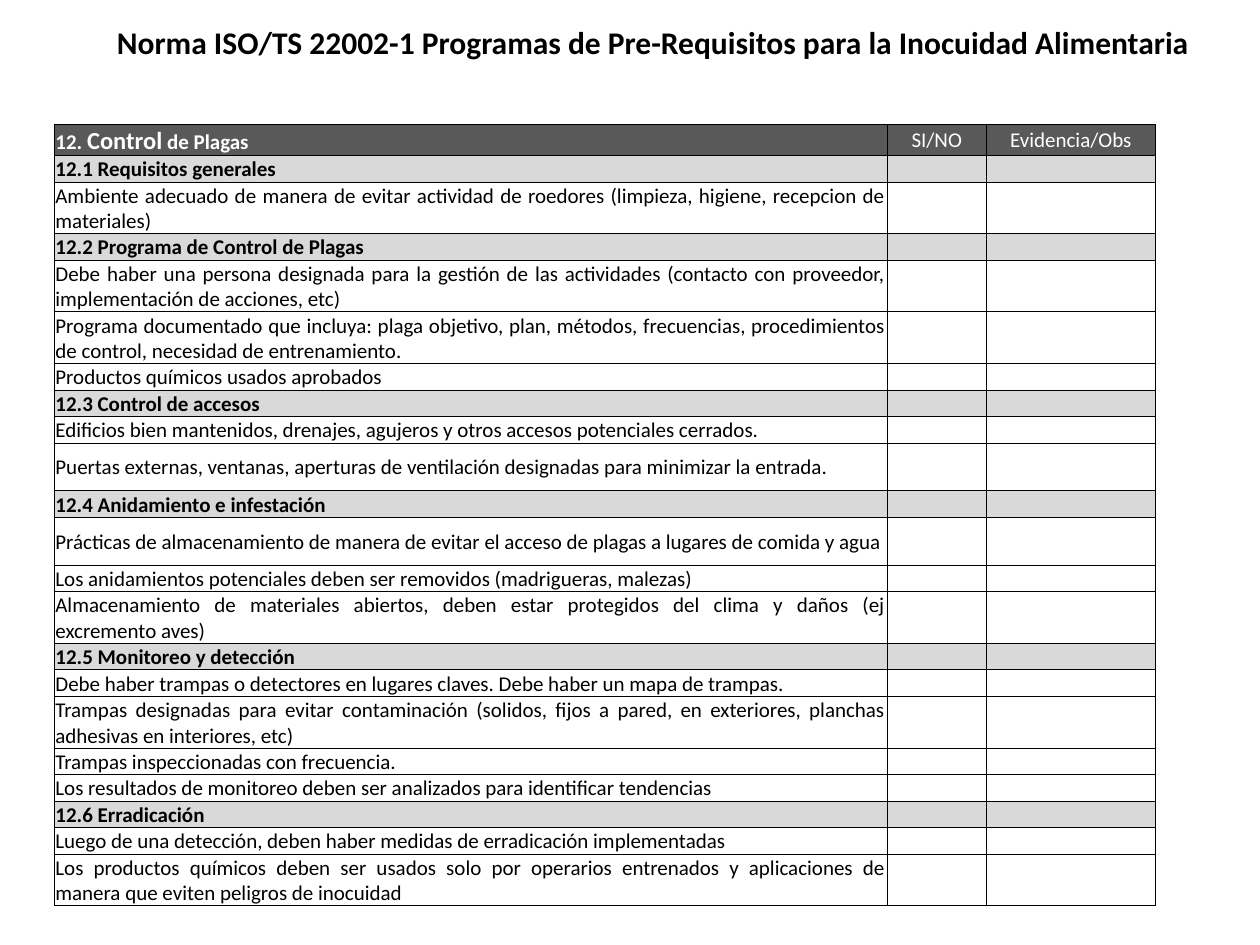
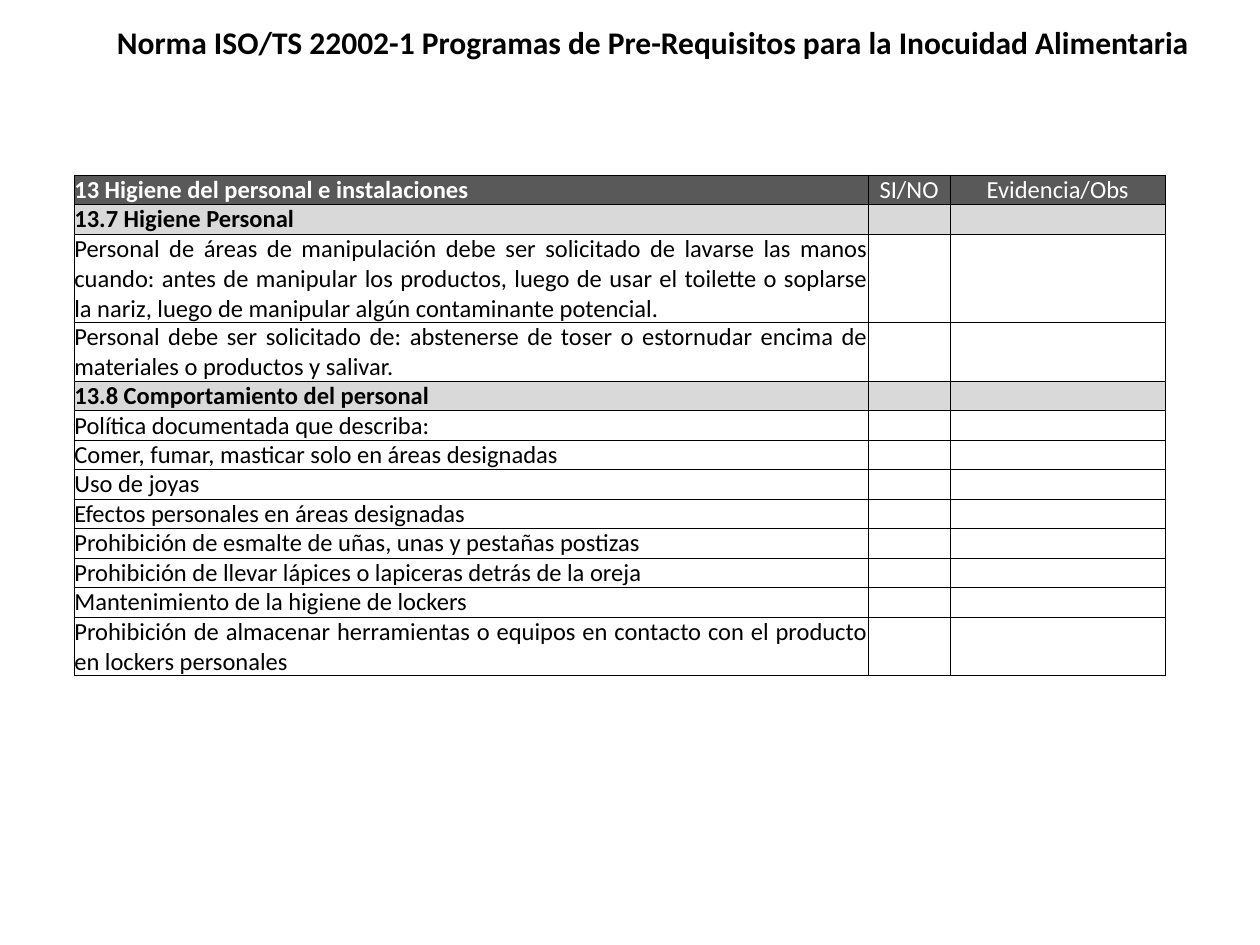
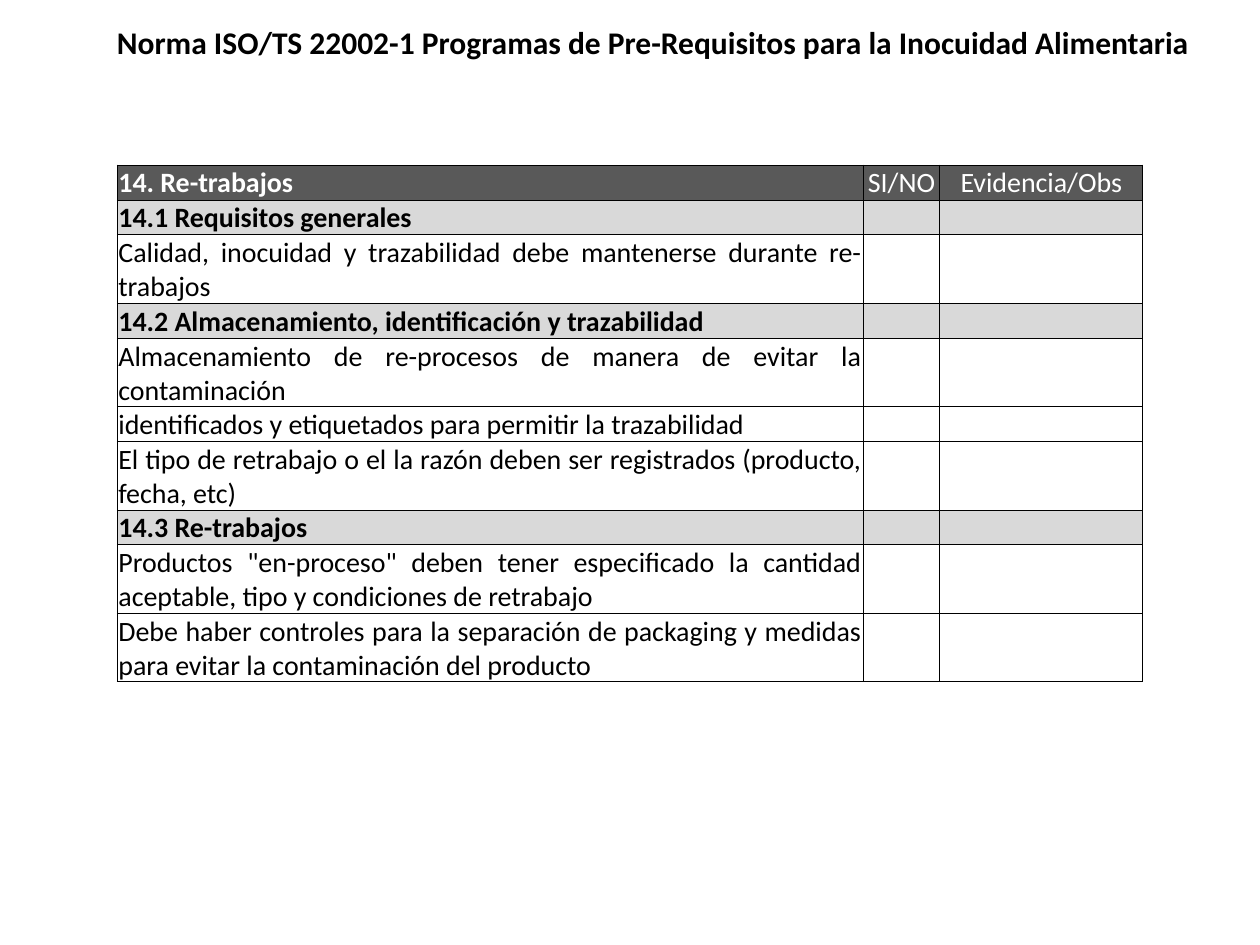
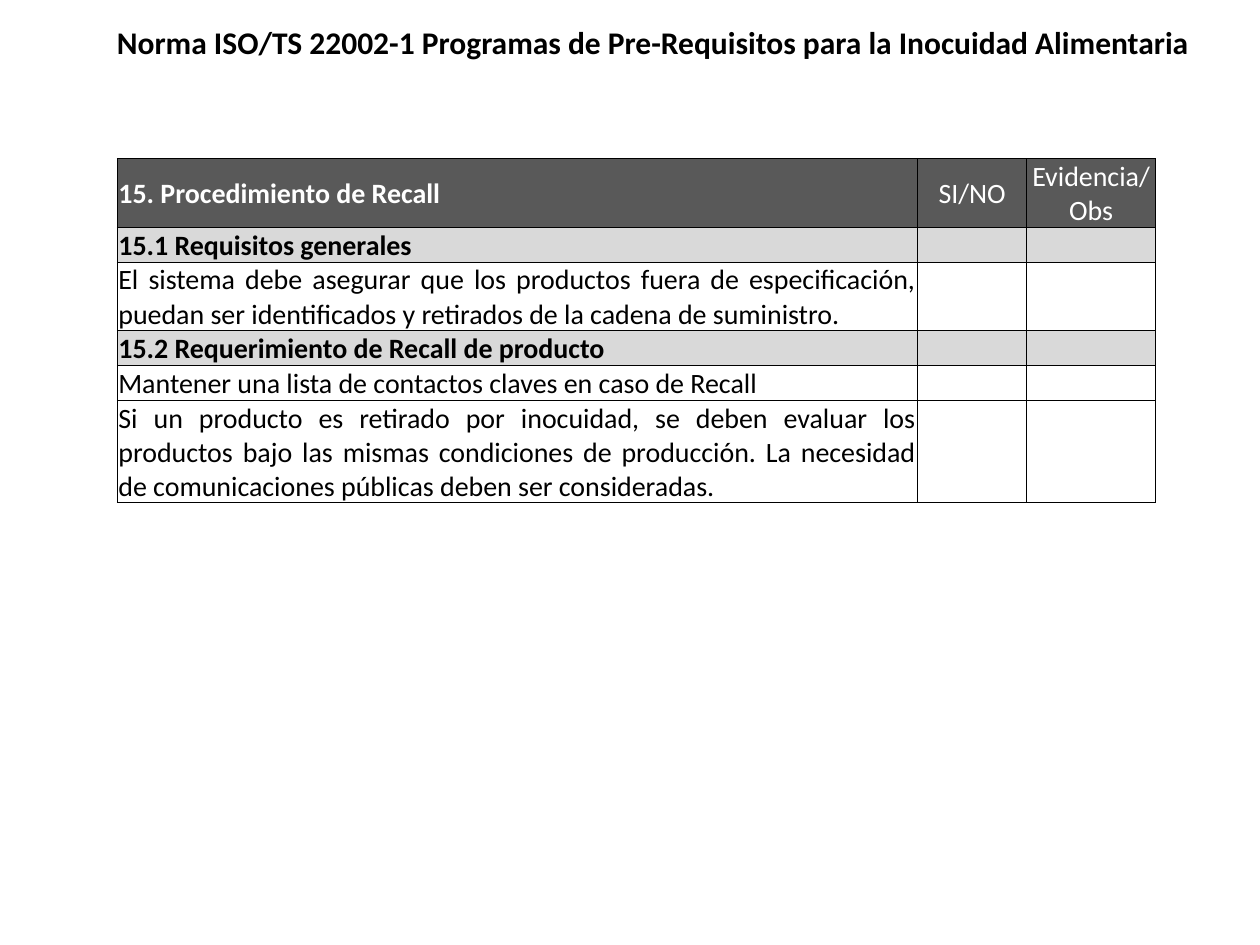
from dataclasses import dataclass

from lxml import etree
from pptx import Presentation
from pptx.dml.color import RGBColor
from pptx.enum import text as t
from pptx.oxml import ns
from pptx.util import Inches, Pt

FONT = "Calibri"
BLACK, WHITE = "000000", "FFFFFF"
HEADER_FILL, SECTION_FILL = "595959", "D9D9D9"
BORDER_WIDTH = Pt(0.5)
TITLE = "Norma ISO/TS 22002-1 Programas de Pre-Requisitos para la Inocuidad Alimentaria"
ANSWER_HEADINGS = ("SI/NO", "Evidencia/Obs")


@dataclass(frozen=True)
class Item:
    text: str
    lines: int = 1


@dataclass(frozen=True)
class Section:
    heading: str
    items: tuple[Item, ...]


@dataclass(frozen=True)
class Span:
    text: str
    size: int


@dataclass(frozen=True)
class Checklist:
    heading: tuple[Span, ...]
    size: int
    left: float
    top: float
    height: float
    columns: tuple[float, ...]
    line_height: float
    inset: float
    sections: tuple[Section, ...]


CHECKLISTS = (
    Checklist(
        (Span("12. ", 12), Span("Control", 14), Span(" de Plagas", 12)),
        12, 0.43, 0.99, 6.17, (6.61, 0.79, 1.34), 0.19, 0.01,
        (
            Section("12.1 Requisitos generales", (
                Item("Ambiente adecuado de manera de evitar actividad de roedores "
                     "(limpieza, higiene, recepcion de materiales)", 2),
            )),
            Section("12.2 Programa de Control de Plagas", (
                Item("Debe haber una persona designada para la gestión de las actividades "
                     "(contacto con proveedor, implementación de acciones, etc)", 2),
                Item("Programa documentado que incluya: plaga objetivo, plan, métodos, "
                     "frecuencias, procedimientos de control, necesidad de entrenamiento.", 2),
                Item("Productos químicos usados aprobados"),
            )),
            Section("12.3 Control de accesos", (
                Item("Edificios bien mantenidos, drenajes, agujeros y otros accesos "
                     "potenciales cerrados."),
                Item("Puertas externas, ventanas, aperturas de ventilación designadas "
                     "para minimizar la entrada.", 2),
            )),
            Section("12.4 Anidamiento e infestación", (
                Item("Prácticas de almacenamiento de manera de evitar el acceso de plagas "
                     "a lugares de comida y agua", 2),
                Item("Los anidamientos potenciales deben ser removidos (madrigueras, malezas)"),
                Item("Almacenamiento de materiales abiertos, deben estar protegidos del "
                     "clima y daños (ej excremento aves)", 2),
            )),
            Section("12.5 Monitoreo y detección", (
                Item("Debe haber trampas o detectores en lugares claves. "
                     "Debe haber un mapa de trampas."),
                Item("Trampas designadas para evitar contaminación (solidos, fijos a pared, "
                     "en exteriores, planchas adhesivas en interiores, etc)", 2),
                Item("Trampas inspeccionadas con frecuencia."),
                Item("Los resultados de monitoreo deben ser analizados para identificar "
                     "tendencias"),
            )),
            Section("12.6 Erradicación", (
                Item("Luego de una detección, deben haber medidas de erradicación "
                     "implementadas"),
                Item("Los productos químicos deben ser usados solo por operarios entrenados "
                     "y aplicaciones de manera que eviten peligros de inocuidad", 2),
            )),
        ),
    ),
    Checklist(
        (Span("13 Higiene del personal e instalaciones", 14),),
        14, 0.59, 1.39, 4.02, (6.3, 0.65, 1.71), 0.12, 0,
        (
            Section("13.7 Higiene Personal", (
                Item("Personal de áreas de manipulación debe ser solicitado de lavarse las "
                     "manos cuando: antes de manipular los productos, luego de usar el "
                     "toilette o soplarse la nariz, luego de manipular algún contaminante "
                     "potencial.", 3),
                Item("Personal debe ser solicitado de: abstenerse de toser o estornudar "
                     "encima de materiales o productos y salivar.", 2),
            )),
            Section("13.8 Comportamiento del personal", (
                Item("Política documentada que describa:"),
                Item("Comer, fumar, masticar solo en áreas designadas"),
                Item("Uso de joyas"),
                Item("Efectos personales en áreas designadas"),
                Item("Prohibición de esmalte de uñas, unas y pestañas postizas"),
                Item("Prohibición de llevar lápices o lapiceras detrás de la oreja"),
                Item("Mantenimiento de la higiene de lockers"),
                Item("Prohibición de almacenar herramientas o equipos en contacto con el "
                     "producto en lockers personales", 2),
            )),
        ),
    ),
    Checklist(
        (Span("14. Re-trabajos", 16),),
        16, 0.93, 1.31, 4.1, (5.92, 0.61, 1.61), 0.21, 0.01,
        (
            Section("14.1 Requisitos generales", (
                Item("Calidad, inocuidad y trazabilidad debe mantenerse durante re-trabajos"),
            )),
            Section("14.2 Almacenamiento, identificación y trazabilidad", (
                Item("Almacenamiento de re-procesos de manera de evitar la contaminación"),
                Item("identificados y etiquetados para permitir la trazabilidad"),
                Item("El tipo de retrabajo o el la razón deben ser registrados "
                     "(producto, fecha, etc)"),
            )),
            Section("14.3 Re-trabajos", (
                Item("Productos \"en-proceso\" deben tener especificado la cantidad "
                     "aceptable, tipo y condiciones de retrabajo", 2),
                Item("Debe haber controles para la separación de packaging y medidas para "
                     "evitar la contaminación del producto", 2),
            )),
        ),
    ),
    Checklist(
        (Span("15. Procedimiento de Recall", 16),),
        16, 0.93, 1.26, 2.73, (6.35, 0.87, 1.02), 0.25, 0.01,
        (
            Section("15.1 Requisitos generales", (
                Item("El sistema debe asegurar que los productos fuera de especificación, "
                     "puedan ser identificados y retirados de la cadena de suministro.", 2),
            )),
            Section("15.2 Requerimiento de Recall de producto", (
                Item("Mantener una lista de contactos claves en caso de Recall"),
                Item("Si un producto es retirado por inocuidad, se deben evaluar los "
                     "productos bajo las mismas condiciones de producción. La necesidad de "
                     "comunicaciones públicas deben ser consideradas.", 3),
            )),
        ),
    ),
)


def color(value: str) -> RGBColor:
    return RGBColor.from_string(value)


def style_paragraph(para, size: int, ink: str, bold: bool) -> None:
    para.font.name = FONT
    para.font.size = Pt(size)
    para.font.bold = bold
    para.font.color.rgb = color(ink)


def add_title(page) -> None:
    box = page.shapes.add_textbox(Inches(0.83), Inches(0.13), Inches(8.74), Inches(0.71))
    box.text_frame.word_wrap = True
    para = box.text_frame.paragraphs[0]
    para.text = TITLE
    style_paragraph(para, 18, BLACK, True)


def set_borders(cell) -> None:
    properties = cell._tc.get_or_add_tcPr()
    for position, side in enumerate(("lnL", "lnR", "lnT", "lnB")):
        line = etree.Element(ns.qn(f"a:{side}"), w=str(BORDER_WIDTH))
        fill = etree.SubElement(line, ns.qn("a:solidFill"))
        etree.SubElement(fill, ns.qn("a:srgbClr"), val=BLACK)
        properties.insert(position, line)


def fill_cell(cell, spans: tuple[Span, ...], checklist: Checklist, background: str | None,
              ink: str, bold: bool, align) -> None:
    cell.vertical_anchor = t.MSO_ANCHOR.MIDDLE
    cell.margin_left = cell.margin_right = cell.margin_top = Inches(checklist.inset)
    cell.margin_bottom = 0
    if background:
        cell.fill.solid()
        cell.fill.fore_color.rgb = color(background)
    else:
        cell.fill.background()
    set_borders(cell)
    para = cell.text_frame.paragraphs[0]
    para.alignment = align
    style_paragraph(para, checklist.size, ink, bold)
    for span in spans:
        run = para.add_run()
        run.text = span.text
        if span.size != checklist.size:
            run.font.size = Pt(span.size)
    if not spans:
        etree.SubElement(para._p, ns.qn("a:endParaRPr"), sz=str(checklist.size * 100))


def add_checklist(page, checklist: Checklist) -> None:
    size = checklist.size
    rows = [(checklist.heading, 1, HEADER_FILL, WHITE, True)]
    for section in checklist.sections:
        rows.append(((Span(section.heading, size),), 1, SECTION_FILL, BLACK, True))
        rows += [((Span(item.text, size),), item.lines, None, BLACK, False)
                 for item in section.items]

    frame = page.shapes.add_table(
        len(rows), len(checklist.columns), Inches(checklist.left), Inches(checklist.top),
        Inches(sum(checklist.columns)), Inches(checklist.height))
    table = frame.table
    table.first_row = table.horz_banding = False
    for column, width in zip(table.columns, checklist.columns):
        column.width = Inches(width)

    for index, (spans, lines, background, ink, bold) in enumerate(rows):
        table.rows[index].height = Inches(lines * checklist.line_height)
        fill_cell(table.cell(index, 0), spans, checklist, background, ink, bold,
                  t.PP_ALIGN.JUSTIFY)
        for column, heading in enumerate(ANSWER_HEADINGS, start=1):
            answer = (Span(heading, size),) if index == 0 else ()
            fill_cell(table.cell(index, column), answer, checklist, background, ink, False,
                      t.PP_ALIGN.CENTER)
    frame.height = Inches(checklist.height)


def main() -> None:
    deck = Presentation()
    deck.slide_width, deck.slide_height = Inches(10), Inches(7.5)
    for checklist in CHECKLISTS:
        page = deck.slides.add_slide(deck.slide_layouts[6])
        add_title(page)
        add_checklist(page, checklist)
    deck.save("out.pptx")


if __name__ == "__main__":
    main()
